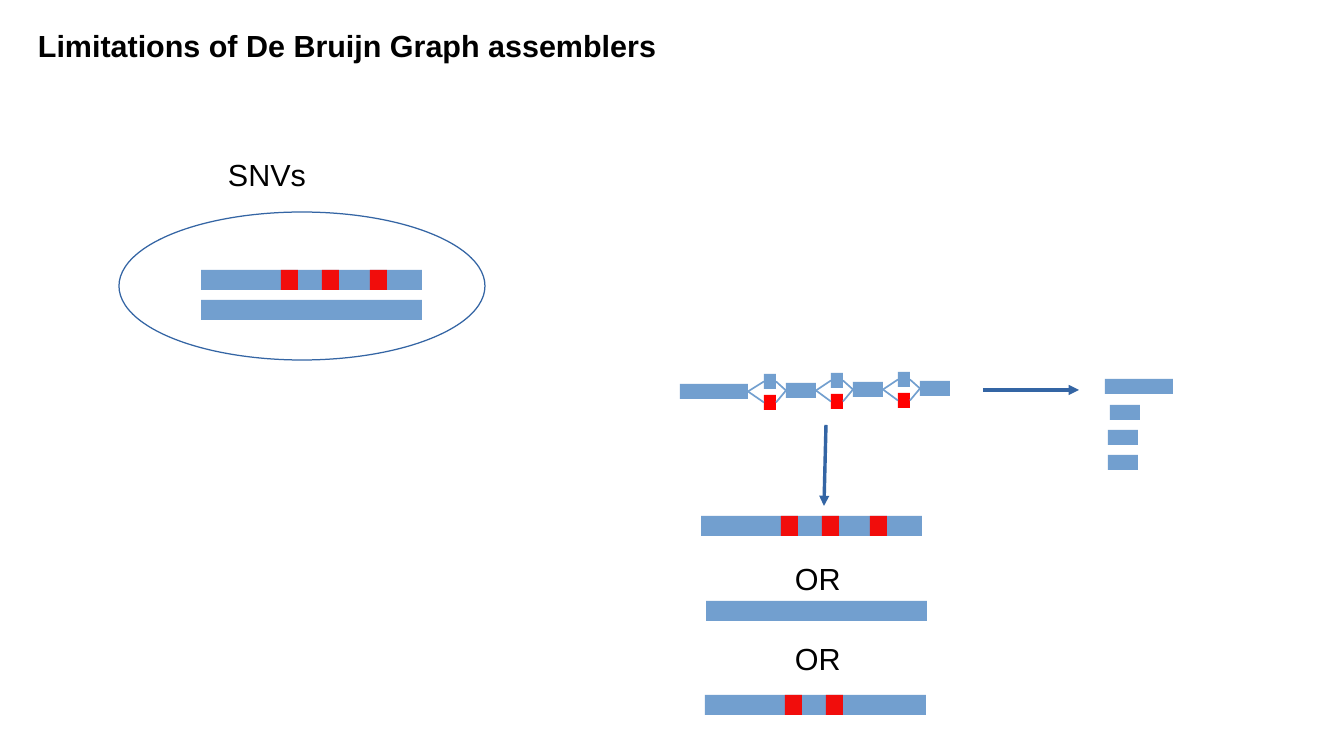
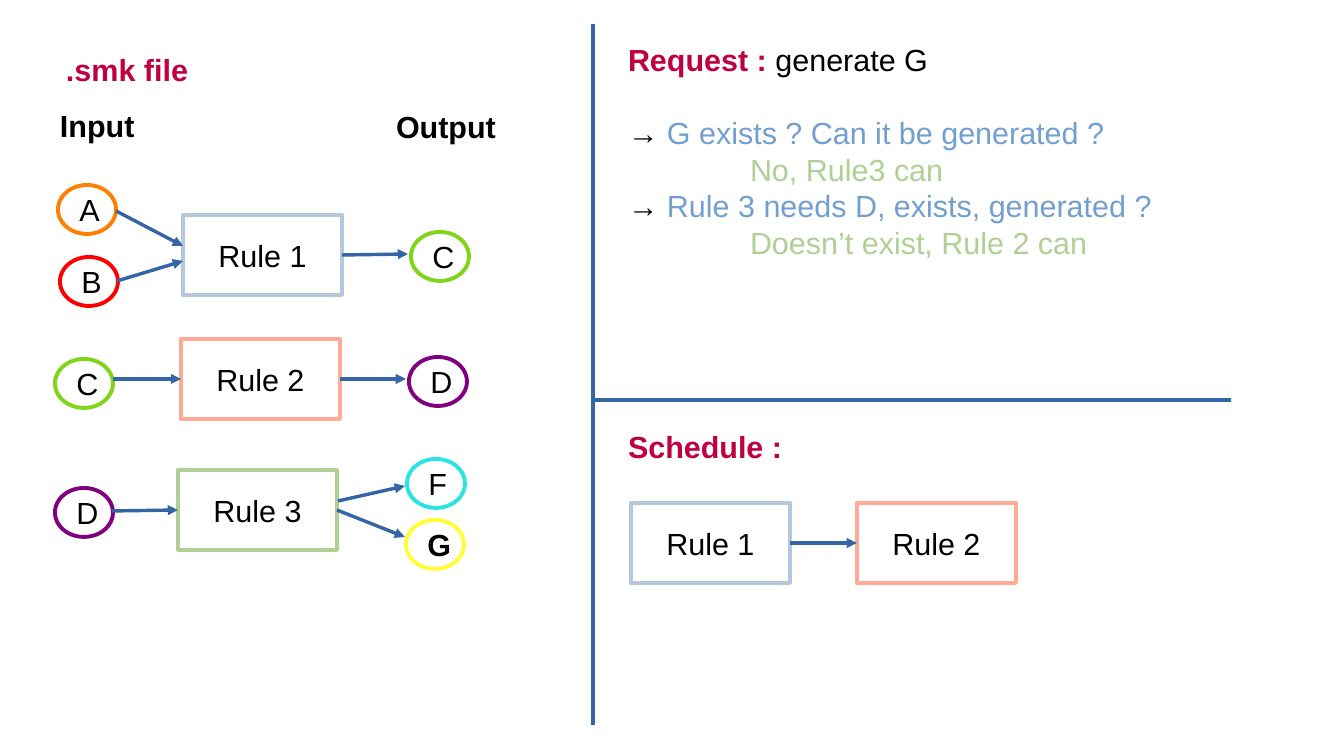
from pptx import Presentation
from pptx.dml.color import RGBColor
from pptx.enum.shapes import MSO_CONNECTOR, MSO_SHAPE
from pptx.enum.text import MSO_ANCHOR, MSO_AUTO_SIZE, PP_ALIGN
from pptx.oxml.ns import qn
from pptx.util import Emu, Pt
from lxml import etree

RECT, OVAL = MSO_SHAPE.RECTANGLE, MSO_SHAPE.OVAL
WIRE = MSO_CONNECTOR.STRAIGHT
MIDDLE, CENTER = MSO_ANCHOR.MIDDLE, PP_ALIGN.CENTER
GROW = MSO_AUTO_SIZE.SHAPE_TO_FIT_TEXT
SCALE = 914400 / 122
LEFT, RIGHT = 1, 3

BLACK, BLUE, NAVY = "000000", "729FCF", "3465A4"
RED, SNP, ROSE = "FF0000", "F10D0C", "BF0041"
STEEL, SALMON, SAGE = "B4C7DC", "FFAA95", "AFD095"
ORANGE, LIME, PURPLE = "FF8000", "81D41A", "800080"
CYAN, YELLOW = "2BE3E3", "FFFF38"


def px(n):
    return Emu(round(n * SCALE))


def rgb(code):
    return RGBColor.from_string(code)


class Deck:
    font = "Arial"
    size = Pt(18)
    stroke = 2.3

    def __init__(self, wide, high):
        self.file = Presentation()
        self.file.slide_width, self.file.slide_height = px(wide), px(high)

    def page(self):
        self.slide = self.file.slides.add_slide(self.file.slide_layouts[6])

    def shape(self, kind, x, y, w, h, fill=None, line=None, width=0):
        item = self.slide.shapes.add_shape(kind, px(x), px(y), px(w), px(h))
        item.shadow.inherit = False
        if fill:
            item.fill.solid()
            item.fill.fore_color.rgb = rgb(fill)
        else:
            item.fill.background()
        if line:
            item.line.color.rgb = rgb(line)
            item.line.width = Pt(width)
        else:
            item.line.fill.background()
        return item

    def block(self, x, y, w, h, color=BLUE):
        return self.shape(RECT, x, y, w, h, color)

    def frame(self, kind, x, y, w, h, color, label, bold=False):
        item = self.shape(kind, x, y, w, h, None, color, self.stroke)
        body = item.text_frame
        body.word_wrap = True
        body.vertical_anchor = MIDDLE
        body.margin_left = body.margin_right = px(13)
        body.margin_top = body.margin_bottom = px(7)
        body.paragraphs[0].alignment = CENTER
        self.run(body.paragraphs[0], label, BLACK, bold)
        return item

    def rule(self, x, y, color, label):
        return self.frame(RECT, x, y, 159, 80, color, label)

    def node(self, x, y, color, label, bold=False):
        return self.frame(OVAL, x, y, 58, 49, color, label, bold)

    def run(self, para, words, color=BLACK, bold=False):
        run = para.add_run()
        run.text = words
        run.font.name, run.font.size = self.font, self.size
        run.font.bold = bold
        run.font.color.rgb = rgb(color)

    def text(self, x, y, w, h, *rows):
        box = self.slide.shapes.add_textbox(px(x), px(y), px(w), px(h))
        body = box.text_frame
        body.word_wrap = True
        body.auto_size = GROW
        for i, row in enumerate(rows):
            para = body.add_paragraph() if i else body.paragraphs[0]
            for part in row:
                self.run(para, *part)
        return body.paragraphs

    def line(self, start, end, color=NAVY, width=0, tip=False):
        a, b = [p if isinstance(p[0], int) else (0, 0) for p in (start, end)]
        wire = self.slide.shapes.add_connector(WIRE, *map(px, a + b))
        if a is not start:
            wire.begin_connect(*start)
        if b is not end:
            wire.end_connect(*end)
        wire.line.color.rgb = rgb(color)
        wire.line.width = Pt(width)
        props = wire._element.spPr
        if tip:
            etree.SubElement(props.find(qn("a:ln")), qn("a:tailEnd"), type="triangle")
        etree.SubElement(props, qn("a:effectLst"))

    def arrow(self, start, end):
        self.line(start, end, tip=True)

    def bar(self, x, y, *marks):
        self.block(x, y, 221, 20)
        for mark in marks:
            self.block(x + mark, y, 17, 20, SNP)


def graph(deck):
    deck.page()
    deck.text(26, 21, 876, 88, [("Limitations of De Bruijn Graph assemblers", BLACK, True)])
    deck.text(216, 150, 344, 46, [("SNVs",)])
    deck.shape(OVAL, 119, 212, 366, 148, None, NAVY)
    marks = 80, 121, 169
    deck.bar(201, 270, *marks)
    deck.bar(201, 300)

    last = deck.block(680, 384, 68, 15)
    for k in range(3):
        x = 67 * k
        pair = [deck.block(764 + x, y - k, 12, 15, c)
                for y, c in ((374, BLUE), (395, RED))]
        join = deck.block(786 + x, 383 - k, 30, 15)
        for base in pair:
            deck.line((last, RIGHT), (base, LEFT), BLUE, 1)
            deck.line((base, RIGHT), (join, LEFT), BLUE, 1)
        last = join

    deck.arrow((983, 390), (1079, 390))
    for x, y, w in ((1105, 379, 68), (1110, 405, 30), (1108, 430, 30), (1108, 455, 30)):
        deck.block(x, y, w, 15)

    deck.arrow((826, 425), (824, 506))
    deck.bar(701, 516, *marks)
    deck.bar(706, 601)
    deck.bar(705, 695, *marks[:2])
    for y in (554, 634):
        deck.text(783, y, 83, 80, [("OR",)])


def rules(deck):
    deck.page()
    for x, y, w, label, color in ((54, 45, 323, ".smk file", ROSE),
                                  (48, 101, 118, "Input", BLACK),
                                  (384, 102, 126, "Output", BLACK),
                                  (616, 422, 323, "Schedule :", ROSE)):
        deck.text(x, y, w, 46, [(label, color, True)])

    one = deck.rule(183, 215, STEEL, "Rule 1")
    two = deck.rule(181, 339, SALMON, "Rule 2")
    three = deck.rule(178, 470, SAGE, "Rule 3")
    for x, y, color, label in ((58, 185, ORANGE, "A"), (60, 257, RED, "B"),
                               (411, 232, LIME, "C"), (55, 359, LIME, "C"),
                               (409, 357, PURPLE, "D"), (55, 488, PURPLE, "D"),
                               (407, 459, CYAN, "F")):
        deck.node(x, y, color, label)
    deck.node(406, 520, YELLOW, "G", True)

    first = deck.rule(631, 503, STEEL, "Rule 1")
    then = deck.rule(857, 503, SALMON, "Rule 2")
    for start, end in (((116, 211), (183, 246)), ((117, 281), (183, 261)),
                       ((one, RIGHT), (408, 254)),
                       ((113, 379), (two, LEFT)), ((two, RIGHT), (406, 379)),
                       ((112, 511), (three, LEFT)), ((three, RIGHT), (405, 537)),
                       ((338, 501), (405, 486)), ((first, RIGHT), (then, LEFT))):
        deck.arrow(start, end)

    deck.line((593, 24), (593, 725))
    deck.line((593, 400), (1231, 400))
    rows = deck.text(616, 35, 599, 388,
                     [("Request :", ROSE, True), (" generate G",)],
                     [("→ ",), ("G exists ? Can it be generated ?", BLUE)],
                     [("No, Rule3 can", SAGE)],
                     [("→ ",), ("Rule 3 needs D, exists, generated ?", BLUE)],
                     [("Doesn’t exist, Rule 2 can", SAGE)])
    rows[1].space_before = Pt(21.6)
    for row in rows[2::2]:
        row._p.get_or_add_pPr().set("marL", str(px(122)))


def main():
    deck = Deck(1344, 756)
    graph(deck)
    rules(deck)
    deck.file.save("out.pptx")


if __name__ == "__main__":
    main()
